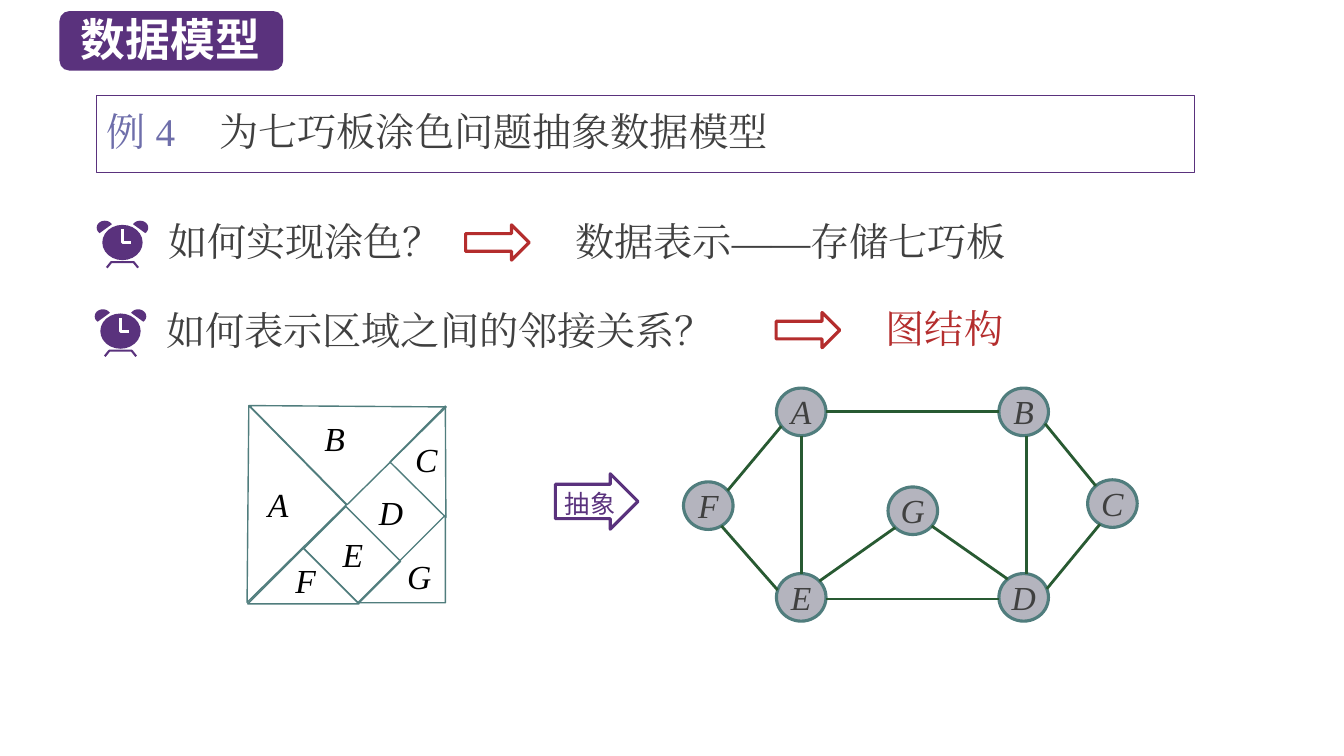
from math import cos, radians, sin

from lxml.etree import SubElement
from pptx import Presentation
from pptx.dml.color import RGBColor
from pptx.enum.shapes import MSO_CONNECTOR, MSO_SHAPE
from pptx.enum.text import MSO_ANCHOR, MSO_AUTO_SIZE, PP_ALIGN
from pptx.oxml.ns import qn
from pptx.util import Pt

COLORS = {
    "purple": "5A327D", "violet": "6E6EAA", "red": "B42D2D", "green": "285A32",
    "teal": "507D7D", "gray": "B4B4BE", "text": "404040", "black": "000000",
    "white": "FFFFFF",
}
SERIF = "Times New Roman"
SANS = "Noto Sans CJK SC"

HEADING = {"size": Pt(32), "name": SANS, "bold": True}
BODY = {"size": Pt(28), "name": SERIF}
LETTER = {"size": Pt(24), "name": SERIF, "italic": True}
ARROW_LABEL = {"size": Pt(18), "name": SANS}

TOP = {"vertical_anchor": MSO_ANCHOR.TOP}
MIDDLE = {"vertical_anchor": MSO_ANCHOR.MIDDLE}
NO_MARGINS = {"margin_left": 0, "margin_top": 0, "margin_right": 0, "margin_bottom": 0}
LEFT = {"alignment": PP_ALIGN.LEFT}
TIGHT = {"alignment": PP_ALIGN.LEFT, "line_spacing": 0.9}

# letter, preset, piece box, rotation, top left corner of the letter
TANGRAM = [
    ("B", MSO_SHAPE.RIGHT_TRIANGLE, (198.7, 240.5, 99.4, 99.4), 315.4, (224.6, 295.2)),
    ("A", MSO_SHAPE.RIGHT_TRIANGLE, (127.4, 310.3, 99.4, 99.4), 225.5, (184.3, 342)),
    ("F", MSO_SHAPE.RIGHT_TRIANGLE, (188.6, 403.2, 56.2, 56.2), 135, (203.8, 396.7)),
    ("E", MSO_SHAPE.RECTANGLE, (230.4, 368.6, 42.5, 55.4), 315, (237.6, 378)),
    ("C", MSO_SHAPE.RIGHT_TRIANGLE, (290.2, 301.7, 56.2, 56.2), 44.7, (289.4, 310.3)),
    ("G", MSO_SHAPE.RIGHT_TRIANGLE, (255.6, 367.9, 62.6, 62.6), 270, (283.7, 393.8)),
]
D_LETTER = (263.5, 347.8)

NODE_WIDTH, NODE_HEIGHT = 35.4, 34
NODES = {
    "A": (554.6, 277.2), "B": (713.5, 277.2), "C": (776.9, 342.7), "D": (713.5, 409.7),
    "E": (554.6, 409.7), "F": (488.2, 344.2), "G": (634.3, 347.8),
}
# node, angle on its rim, node, angle on its rim (clockwise from the right)
EDGES = [
    ("A", 0, "B", 180), ("A", 90, "E", 270), ("B", 84, "D", 276), ("E", 4, "D", 176),
    ("G", 135, "E", 317), ("G", 40, "D", 230), ("A", 143, "F", 321),
    ("E", 198, "F", 58), ("C", 120, "D", 339), ("C", 228, "B", 30),
]


def set_all(target, values):
    for name, value in values.items():
        setattr(target, name, value)


def points(values):
    return [Pt(value) for value in values]


def rgb(color):
    return RGBColor.from_string(COLORS[color])


def paint(shape, fill=None, line=None, width=1):
    shape.shadow.inherit = False
    if fill:
        shape.fill.solid()
        shape.fill.fore_color.rgb = rgb(fill)
    else:
        shape.fill.background()
    if line:
        shape.line.color.rgb = rgb(line)
        shape.line.width = Pt(width)
    else:
        shape.line.fill.background()


def write(shape, runs, font, frame_format, paragraph_format):
    """Fill a shape with one paragraph of (text, color) runs."""
    frame = shape.text_frame
    set_all(frame, {"word_wrap": True, "auto_size": MSO_AUTO_SIZE.NONE, **frame_format})
    paragraph = frame.paragraphs[0]
    set_all(paragraph, paragraph_format)
    for words, color in runs:
        run = paragraph.add_run()
        run.text = words
        set_all(run.font, font)
        run.font.color.rgb = rgb(color)
        SubElement(run.font._element, qn("a:ea"), typeface=font["name"])
    return paragraph


def add_preset(slide, preset, box, **look):
    shape = slide.shapes.add_shape(preset, *points(box))
    paint(shape, **look)
    return shape


def add_text(slide, box, words, color="text", font=BODY, frame_format=TOP,
             paragraph_format=LEFT):
    label = slide.shapes.add_textbox(*points(box))
    write(label, [(words, color)], font, frame_format, paragraph_format)


def add_outline(slide, corners, close=False, **look):
    start, *rest = [tuple(points(corner)) for corner in corners]
    builder = slide.shapes.build_freeform(*start)
    builder.add_line_segments(rest, close=close)
    paint(builder.convert_to_shape(), **look)


def add_title(slide):
    title = slide.shapes.title
    set_all(title, dict(zip(("left", "top", "width", "height"),
                            points((50.4, 5, 145.4, 46.1)))))
    write(title, [("数据模型", "white")], HEADING, TOP, LEFT)
    badge = add_preset(slide, MSO_SHAPE.ROUNDED_RECTANGLE, (42.5, 7.9, 159.8, 42.5),
                       fill="purple")
    title._element.addprevious(badge._element)


def add_example(slide):
    example = add_preset(slide, MSO_SHAPE.RECTANGLE, (69.1, 68.4, 784.1, 54.7),
                         line="purple", width=0.75)
    paragraph = write(example, [("例 4\t", "violet"), ("为七巧板涂色问题抽象数据模型", "text")],
                      BODY, MIDDLE, TIGHT)
    tabs = SubElement(paragraph._p.get_or_add_pPr(), qn("a:tabLst"))
    SubElement(tabs, qn("a:tab"), pos=str(Pt(80.5)), algn="l")


def add_clock(slide, left, top):
    def place(corners):
        return [(left + x, top + y) for x, y in corners]

    middle = 18.4
    bell = [(5.8 + 5.8 * cos(radians(angle)), 5 + 5 * sin(radians(angle)))
            for angle in range(130, 331, 10)]
    mirrored_bell = [(2 * middle - x, y) for x, y in bell]
    for outline in (bell, mirrored_bell):
        add_outline(slide, place(outline), close=True, fill="purple")
    add_preset(slide, MSO_SHAPE.OVAL, (left + middle - 14.4, top + 2.9, 28.8, 25.2),
               fill="purple")
    hands = [(middle, 6.1), (middle, 15.5), (24.2, 15.5)]
    add_outline(slide, place(hands), line="white", width=2.2)
    stand = [(7.2, 33.5), (10.4, 29.5), (26.4, 29.5), (29.6, 33.5)]
    add_outline(slide, place(stand), line="purple", width=1.5)


def add_question(slide, clock, question_box, question, arrow, answer_box, answer, color):
    add_clock(slide, *clock)
    add_text(slide, question_box, question)
    add_preset(slide, MSO_SHAPE.RIGHT_ARROW, (*arrow, 45.4, 25.2), line="red", width=2.25)
    add_text(slide, answer_box, answer, color, BODY, MIDDLE, TIGHT)


def add_tangram(slide):
    for _, preset, box, rotation, _ in TANGRAM:
        piece = add_preset(slide, preset, box, line="teal")
        piece.rotation = rotation
    letters = [(letter, corner) for letter, _, _, _, corner in TANGRAM]
    for letter, corner in letters + [("D", D_LETTER)]:
        add_text(slide, (*corner, 34.6, 36), letter, "black", LETTER)


def add_abstraction_arrow(slide):
    arrow = add_preset(slide, MSO_SHAPE.RIGHT_ARROW, (396.7, 338.4, 59, 39.6),
                       line="purple", width=2.25)
    arrow.adjustments[0] = 0.62
    write(arrow, [("抽象", "purple")], ARROW_LABEL,
          {**MIDDLE, **NO_MARGINS, "margin_left": Pt(2.9)},
          {"alignment": PP_ALIGN.CENTER, "line_spacing": Pt(24)})


def rim_point(node, angle):
    left, top = NODES[node]
    return (left + NODE_WIDTH / 2 * (1 + cos(radians(angle))),
            top + NODE_HEIGHT / 2 * (1 + sin(radians(angle))))


def add_graph(slide):
    for letter, corner in NODES.items():
        node = add_preset(slide, MSO_SHAPE.OVAL, (*corner, NODE_WIDTH, NODE_HEIGHT),
                          fill="gray", line="teal", width=2.25)
        write(node, [(letter, "text")], LETTER, {**TOP, **NO_MARGINS},
              {"alignment": PP_ALIGN.CENTER, "line_spacing": Pt(26)})
    for start, start_angle, end, end_angle in EDGES:
        ends = rim_point(start, start_angle) + rim_point(end, end_angle)
        edge = slide.shapes.add_connector(MSO_CONNECTOR.STRAIGHT, *points(ends))
        edge.line.color.rgb = rgb("green")
        edge.line.width = Pt(2)
        SubElement(edge._element.spPr, qn("a:effectLst"))


def main():
    deck = Presentation()
    set_all(deck, {"slide_width": Pt(960), "slide_height": Pt(540)})
    slide = deck.slides.add_slide(deck.slide_layouts.get_by_name("Title Only"))
    add_title(slide)
    add_example(slide)
    add_question(slide, (69.1, 157.7), (113, 151.9, 216.7, 41), "如何实现涂色？",
                 (332.6, 160.6), (403.9, 146.9, 327.6, 54.7), "数据表示——存储七巧板", "text")
    add_question(slide, (67.7, 221), (111.6, 215.3, 443.5, 41), "如何表示区域之间的邻接关系？",
                 (554.4, 223.2), (625.7, 208.8, 127.4, 54.7), "图结构", "red")
    add_tangram(slide)
    add_abstraction_arrow(slide)
    add_graph(slide)
    deck.save("out.pptx")


if __name__ == "__main__":
    main()
